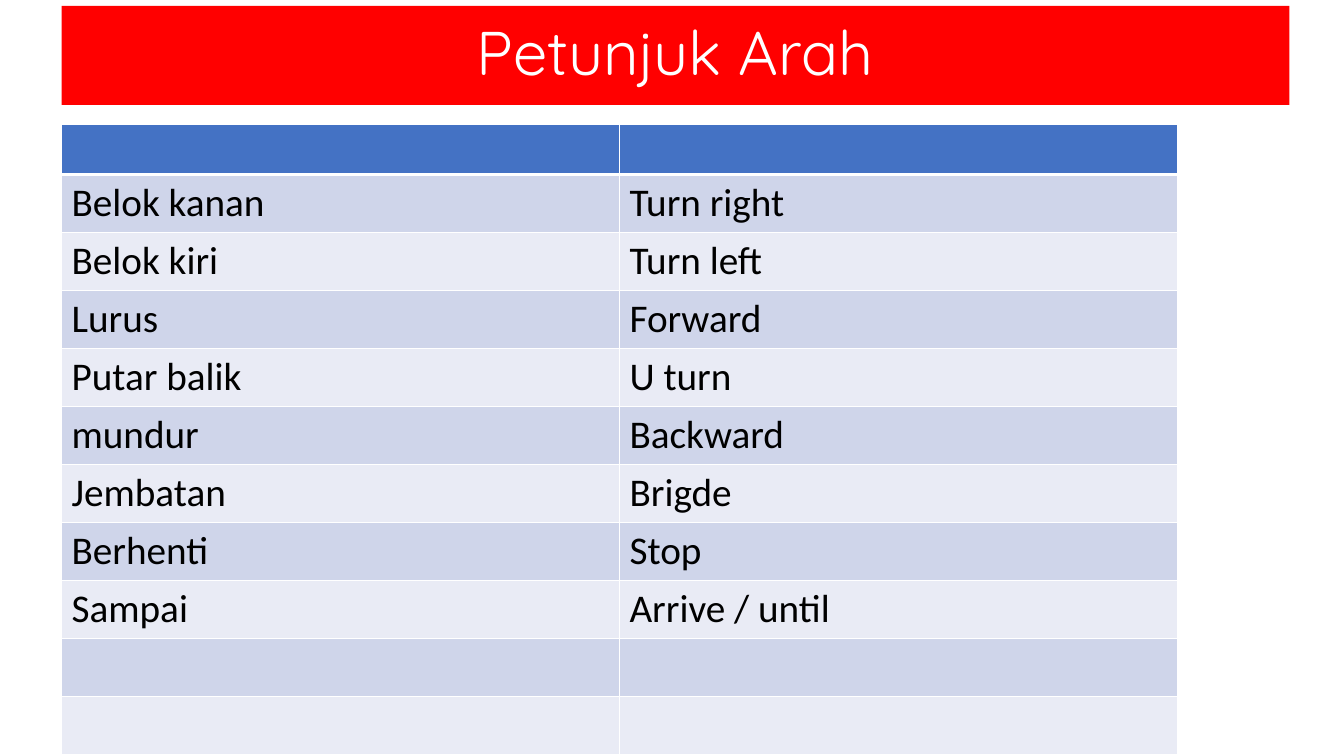
from dataclasses import dataclass

from lxml import etree
from pptx import Presentation
from pptx.dml.color import RGBColor
from pptx.enum.shapes import MSO_SHAPE
from pptx.enum.text import MSO_ANCHOR, PP_ALIGN
from pptx.oxml.ns import qn
from pptx.util import Inches, Pt

RECT = MSO_SHAPE.RECTANGLE
MIDDLE = MSO_ANCHOR.MIDDLE
CENTER, LEFT = PP_ALIGN.CENTER, PP_ALIGN.LEFT
WIDE, HIGH = Inches(13.33), Inches(7.5)


@dataclass(frozen=True)
class Theme:
    banner: str = "FF0000"
    head: str = "4472C4"
    bands: tuple[str, str] = ("CFD5EA", "E9EBF5")
    white: str = "FFFFFF"
    ink: str = "000000"
    title_font: str = "Quicksand"
    body_font: str = "Calibri"
    title_size: int = 44
    body_size: int = 28
    rule: int = 1
    head_rule: int = 3


@dataclass(frozen=True)
class Area:
    """A box in percent of the slide's width and height."""
    left: float
    top: float
    width: float
    height: float

    def box(self) -> tuple[int, int, int, int]:
        return (across(self.left), down(self.top),
                across(self.width), down(self.height))


@dataclass(frozen=True)
class Entry:
    local: str = ""
    english: str = ""


THEME = Theme()
MARGIN = 4.58
HEAD_ROW, BODY_ROW = 6.67, 7.35
ENTRIES = [
    Entry("Belok kanan", "Turn right"),
    Entry("Belok kiri", "Turn left"),
    Entry("Lurus", "Forward"),
    Entry("Putar balik", "U turn"),
    Entry("mundur", "Backward"),
    Entry("Jembatan", "Brigde"),
    Entry("Berhenti", "Stop"),
    Entry("Sampai", "Arrive / until"),
    Entry(),
    Entry(),
]
BANNER = Area(MARGIN, 0.8, 91.35, 13.07)
GRID = Area(MARGIN, 16.4, 83.03, HEAD_ROW + BODY_ROW * len(ENTRIES))


def across(share: float) -> int:
    return round(WIDE * share / 100)


def down(share: float) -> int:
    return round(HIGH * share / 100)


def write(frame, text: str, *, font: str, size: int, color: str,
          align=LEFT, lead: float = 1.0) -> None:
    """Fill a text frame; an empty one keeps the size for its blank line."""
    para = frame.paragraphs[0]
    para.alignment = align
    para.line_spacing = lead
    if not text:
        etree.SubElement(para._p, qn("a:endParaRPr"), sz=str(size * 100))
        return
    run = para.add_run()
    run.text = text
    run.font.name = font
    run.font.size = Pt(size)
    run.font.color.rgb = RGBColor.from_string(color)


def paint(cell, fill: str, base: int) -> None:
    """Set white borders, with the given bottom width, and a solid fill."""
    props = cell._tc.get_or_add_tcPr()
    for side in "LRTB":
        width = base if side == "B" else THEME.rule
        line = etree.SubElement(props, qn(f"a:ln{side}"), w=str(Pt(width)))
        solid = etree.SubElement(line, qn("a:solidFill"))
        etree.SubElement(solid, qn("a:srgbClr"), val=THEME.white)
    cell.fill.solid()
    cell.fill.fore_color.rgb = RGBColor.from_string(fill)


def add_banner(slide, text: str) -> None:
    shape = slide.shapes.add_shape(RECT, *BANNER.box())
    shape.shadow.inherit = False
    shape.fill.solid()
    shape.fill.fore_color.rgb = RGBColor.from_string(THEME.banner)
    shape.line.fill.background()
    shape.text_frame.word_wrap = True
    shape.text_frame.vertical_anchor = MIDDLE
    write(shape.text_frame, text, font=THEME.title_font,
          size=THEME.title_size, color=THEME.white, align=CENTER, lead=0.9)


def add_words(slide, entries: list[Entry]) -> None:
    table = slide.shapes.add_table(len(entries) + 1, 2, *GRID.box()).table
    for col in table.columns:
        col.width = across(GRID.width / 2)
    table.rows[0].height = down(HEAD_ROW)
    for cell in table.rows[0].cells:
        paint(cell, THEME.head, THEME.head_rule)
    for i, entry in enumerate(entries):
        row = table.rows[i + 1]
        row.height = down(BODY_ROW)
        for cell, text in zip(row.cells, (entry.local, entry.english)):
            paint(cell, THEME.bands[i % 2], THEME.rule)
            write(cell.text_frame, text, font=THEME.body_font,
                  size=THEME.body_size, color=THEME.ink)


def main() -> None:
    deck = Presentation()
    deck.slide_width, deck.slide_height = WIDE, HIGH
    slide = deck.slides.add_slide(deck.slide_layouts[6])
    add_banner(slide, "Petunjuk Arah")
    add_words(slide, ENTRIES)
    deck.save("out.pptx")


if __name__ == "__main__":
    main()
